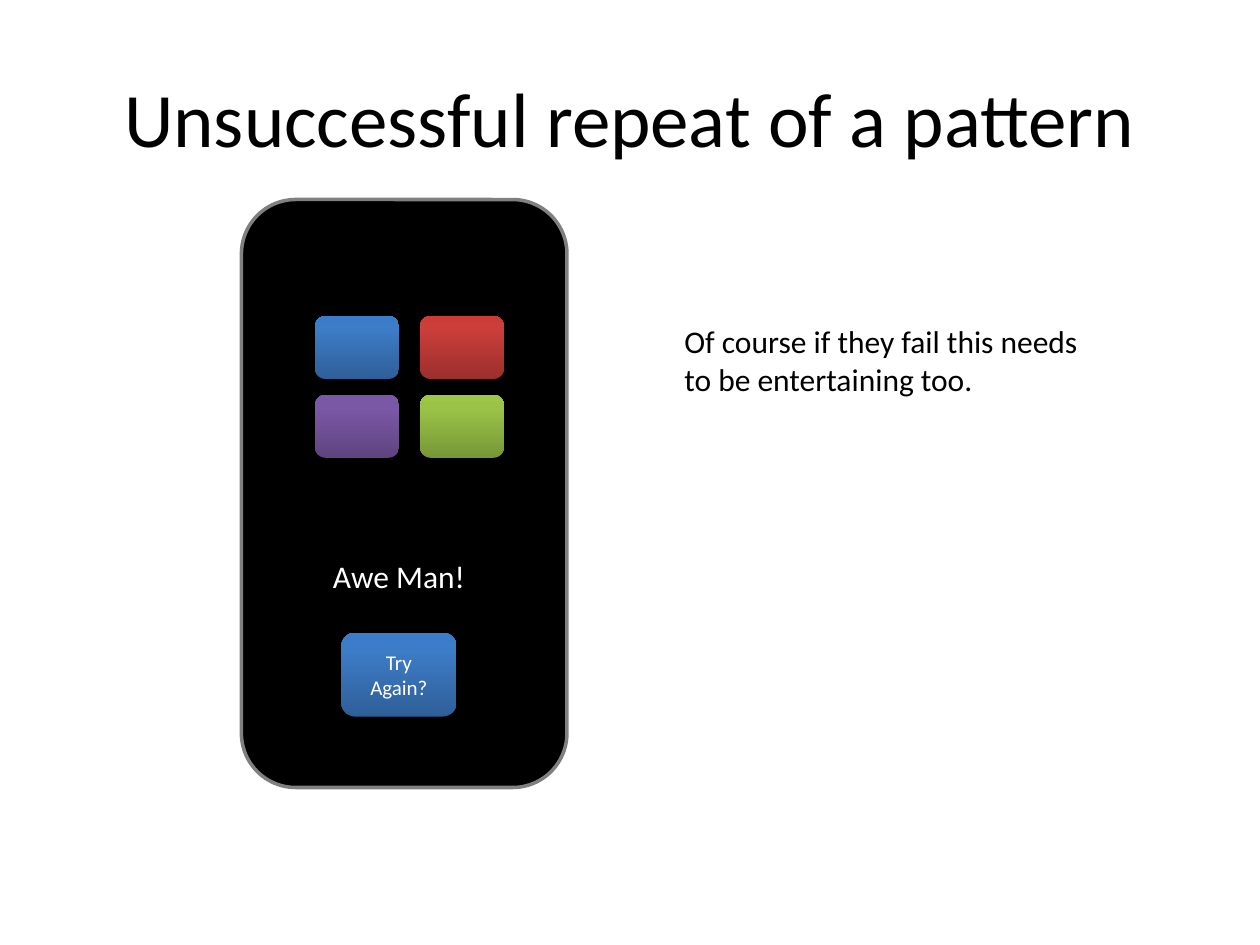
from copy import deepcopy

from pptx import Presentation
from pptx.dml.color import RGBColor
from pptx.enum.shapes import MSO_SHAPE
from pptx.enum.text import MSO_ANCHOR, PP_ALIGN
from pptx.oxml.ns import qn
from pptx.util import Pt

FONT = "Calibri"
COLORS = {"black": "000000", "white": "FFFFFF", "frame": "808080"}
# Gradient stops from the bottom edge to the top edge
GRADIENTS = {
    "blue": ("2F5F99", "3D7CC7", "3A7CCB"),
    "red": ("9C2F2D", "CB3E3A", "CE3B37"),
    "purple": ("5F4480", "7B58A6", "7C57A8"),
    "green": ("779737", "9BC348", "9DC746"),
}
STOP_POSITIONS = (0, 0.8, 1)


def place(shape, left, top, width, height):
    shape.left, shape.top = Pt(left), Pt(top)
    shape.width, shape.height = Pt(width), Pt(height)


def write(shape, text, size, color, align):
    frame = shape.text_frame
    frame.word_wrap = True
    frame.text = text
    para = frame.paragraphs[0]
    para.alignment = align
    font = para.runs[0].font
    font.name, font.size = FONT, Pt(size)
    font.color.rgb = RGBColor.from_string(COLORS[color])


def add_title(page, text):
    title = page.shapes.title
    place(title, 36, 21.6, 648, 90)
    write(title, text, 44, "black", PP_ALIGN.CENTER)
    title.text_frame.vertical_anchor = MSO_ANCHOR.MIDDLE


def add_label(page, text, left, top, width, height, color, align):
    box = page.shapes.add_textbox(Pt(left), Pt(top), Pt(width), Pt(height))
    write(box, text, 18, color, align)


def add_rounded(page, left, top, width, height):
    shape = page.shapes.add_shape(
        MSO_SHAPE.ROUNDED_RECTANGLE, Pt(left), Pt(top), Pt(width), Pt(height))
    shape.shadow.inherit = False
    return shape


def add_phone(page):
    phone = add_rounded(page, 138, 114, 186, 336)
    phone.fill.solid()
    phone.fill.fore_color.rgb = RGBColor.from_string(COLORS["black"])
    phone.line.color.rgb = RGBColor.from_string(COLORS["frame"])
    phone.line.width = Pt(2)


def add_button(page, left, top, width, height, gradient):
    button = add_rounded(page, left, top, width, height)
    button.line.fill.background()
    button.fill.gradient()
    button.fill.gradient_angle = 90
    # The default gradient has two stops; a third one is needed
    last_stop = button.element.spPr.findall(".//" + qn("a:gs"))[-1]
    last_stop.addnext(deepcopy(last_stop))
    stops = button.fill.gradient_stops
    for stop, position, color in zip(stops, STOP_POSITIONS, GRADIENTS[gradient]):
        stop.position = position
        stop.color.rgb = RGBColor.from_string(color)
    return button


def main():
    deck = Presentation()
    deck.slide_width, deck.slide_height = Pt(720), Pt(540)
    page = deck.slides.add_slide(deck.slide_layouts[5])
    add_title(page, "Unsuccessful repeat of a pattern")

    # Phone with a two by two grid of pattern buttons
    add_phone(page)
    for index, gradient in enumerate(("blue", "red", "purple", "green")):
        row, column = divmod(index, 2)
        add_button(page, 180 + 60 * column, 180.6 + 45 * row, 48, 36, gradient)

    # Failure message and retry button
    add_label(page, "Awe Man!", 171, 314.6, 114, 29, "white", PP_ALIGN.CENTER)
    retry = add_button(page, 195, 361.5, 66, 48, "blue")
    write(retry, "Try Again?", 12, "white", PP_ALIGN.CENTER)
    retry.text_frame.vertical_anchor = MSO_ANCHOR.MIDDLE

    # Comment beside the phone
    add_label(page, "Of course if they fail this needs to be entertaining too.",
              384, 180.6, 252, 51, "black", PP_ALIGN.LEFT)
    deck.save("out.pptx")


if __name__ == "__main__":
    main()
